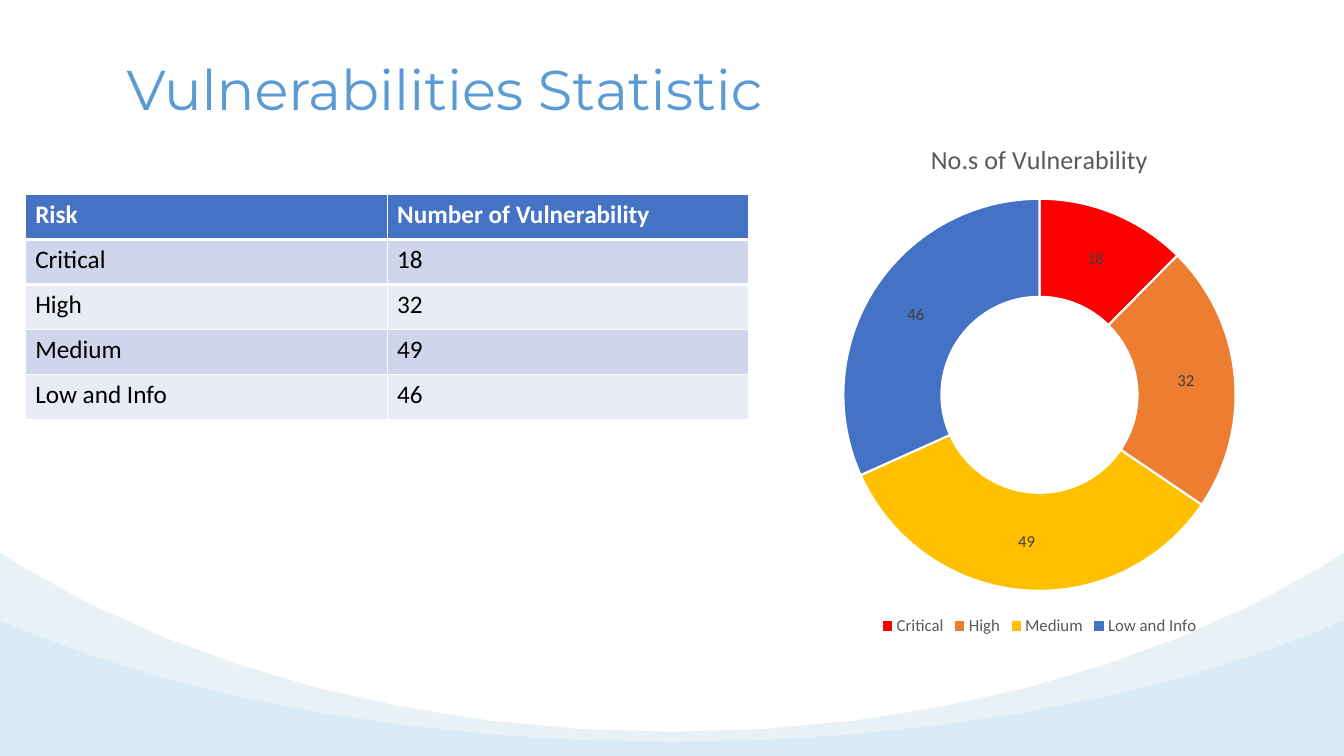
import pptx
import pptx.chart.data
import pptx.dml.color
import pptx.enum.chart
import pptx.enum.text
import pptx.util
from lxml import etree

RGBColor = pptx.dml.color.RGBColor
Inches = pptx.util.Inches
Pt = pptx.util.Pt
qn = pptx.oxml.ns.qn

WHITE = RGBColor(0xFF, 0xFF, 0xFF)
BLACK = RGBColor(0x00, 0x00, 0x00)
SKY = RGBColor(0x5B, 0x9B, 0xD5)
BLUE = RGBColor(0x44, 0x72, 0xC4)
RED = RGBColor(0xFF, 0x00, 0x00)
ORANGE = RGBColor(0xED, 0x7D, 0x31)
GOLD = RGBColor(0xFF, 0xC0, 0x00)
BAND = RGBColor(0xCF, 0xD5, 0xEA)
PALE = RGBColor(0xE9, 0xEB, 0xF5)
GREY = RGBColor(0x59, 0x59, 0x59)
DARK = RGBColor(0x40, 0x40, 0x40)
MIST = RGBColor(0xE8, 0xF1, 0xF6)
AQUA = RGBColor(0x7A, 0xC2, 0xF9)

RISKS = [("Critical", 18, RED), ("High", 32, ORANGE),
         ("Medium", 49, GOLD), ("Low and Info", 46, BLUE)]
SERIES = "No.s of Vulnerability"


def style(font, size, color, name="Calibri", bold=False):
    """Set the face, size, colour and weight of a font."""
    font.name = name
    font.size = Pt(size)
    font.bold = bold
    font.color.rgb = color


def add_title(slide, box, text):
    """Place the slide title in the box."""
    title = slide.shapes.title
    title.left, title.top, title.width, title.height = map(Inches, box)
    frame = title.text_frame
    frame.word_wrap = True
    frame.auto_size = pptx.enum.text.MSO_AUTO_SIZE.NONE
    frame.vertical_anchor = pptx.enum.text.MSO_ANCHOR.MIDDLE
    para = frame.paragraphs[0]
    para.alignment = pptx.enum.text.PP_ALIGN.CENTER
    run = para.add_run()
    run.text = text
    style(run.font, 40, SKY, "Montserrat")


def add_edge(cell, side, width):
    """Give one side of a cell a white border."""
    props = cell._tc.get_or_add_tcPr()
    edge = etree.Element(qn("a:" + side), w=str(Pt(width)))
    fill = etree.SubElement(edge, qn("a:solidFill"))
    etree.SubElement(fill, qn("a:srgbClr"), val=str(WHITE))
    props.insert(0, edge)


def add_risks(slide, box):
    """Fill the box with the table of risks and counts."""
    rows = [("Risk", "Number of Vulnerability")]
    rows += [(name, str(count)) for name, count, _ in RISKS]
    table = slide.shapes.add_table(len(rows), 2, *map(Inches, box)).table
    for i, row in enumerate(rows):
        head = i == 0
        for j, text in enumerate(row):
            cell = table.cell(i, j)
            cell.fill.solid()
            cell.fill.fore_color.rgb = BLUE if head else BAND if i % 2 else PALE
            if head:
                add_edge(cell, "lnB", 3)
            elif i == 1:
                add_edge(cell, "lnT", 3)
            run = cell.text_frame.paragraphs[0].add_run()
            run.text = text
            style(run.font, 18, WHITE if head else BLACK, bold=head)


def add_ring(slide, box):
    """Draw the doughnut chart of the risks in the box."""
    kinds = pptx.enum.chart
    data = pptx.chart.data.CategoryChartData()
    data.categories = [name for name, _, _ in RISKS]
    data.add_series(SERIES, [count for _, count, _ in RISKS])
    chart = slide.shapes.add_chart(
        kinds.XL_CHART_TYPE.DOUGHNUT, *map(Inches, box), data).chart
    style(chart.font, 10, BLACK)

    chart.has_title = True
    run = chart.chart_title.text_frame.paragraphs[0].add_run()
    run.text = SERIES
    style(run.font, 18.6, GREY)
    chart.chart_title.include_in_layout = False

    chart.has_legend = True
    chart.legend.position = kinds.XL_LEGEND_POSITION.BOTTOM
    chart.legend.include_in_layout = False
    style(chart.legend.font, 12, GREY)

    plot = chart.plots[0]
    plot.vary_by_categories = True
    for hole in plot._element.xpath("c:holeSize"):
        hole.set("val", "75")
    ring = plot.series[0]
    for i, (_, _, color) in enumerate(RISKS):
        form = ring.points[i].format
        form.fill.solid()
        form.fill.fore_color.rgb = color
        form.line.color.rgb = WHITE
        form.line.width = Pt(1.5)
    labels = ring.data_labels
    labels.show_value = True
    style(labels.font, 12, DARK)


def add_wave(slide, box, drops, color, alpha=100):
    """Draw a hollow wave in the box, with its curve set by three drops."""
    left, top, width, height = box
    edge, pull, dip = drops
    xs = (0.25, 1.94, 4.2, width / 2)
    ys = (edge, pull, dip, dip)
    count = 8
    half = []
    for step in range(count + 1):
        t = step / count
        s = 1 - t
        parts = (s ** 3, 3 * s * s * t, 3 * s * t * t, t ** 3)
        half.append((sum(p * x for p, x in zip(parts, xs)),
                     sum(p * y for p, y in zip(parts, ys))))
    mirror = [(width - x, y) for x, y in half[-2::-1]]
    line = half + mirror + [(width, 0), (width, height), (0, height)]
    pen = slide.shapes.build_freeform(Inches(left), Inches(top))
    pen.add_line_segments(
        [(Inches(left + x), Inches(top + y)) for x, y in line], close=True)
    wave = pen.convert_to_shape()
    wave.shadow.inherit = False
    wave.line.fill.background()
    wave.fill.solid()
    wave.fill.fore_color.rgb = color
    if alpha < 100:
        tint = wave._element.spPr.xpath("a:solidFill/a:srgbClr")[0]
        etree.SubElement(tint, qn("a:alpha")).set("val", str(alpha * 1000))


def main():
    """Build the statistics slide and save it."""
    deck = pptx.Presentation()
    deck.slide_width = Inches(13.33)
    deck.slide_height = Inches(7.5)
    slide = deck.slides.add_slide(deck.slide_layouts.get_by_name("Title Only"))
    add_title(slide, (0.68, 0.34, 7.46, 1.06), "Vulnerabilities Statistic")
    add_risks(slide, (0.25, 1.93, 7.18, 2.23))
    add_ring(slide, (7.51, 1.2, 5.6, 5.15))
    add_wave(slide, (0, 5.48, 13.33, 2.02), (0.16, 1.17, 1.78), MIST)
    add_wave(slide, (0, 6.15, 13.33, 1.35), (0.11, 0.8, 1.21), AQUA, 11)
    deck.save("out.pptx")


if __name__ == "__main__":
    main()
